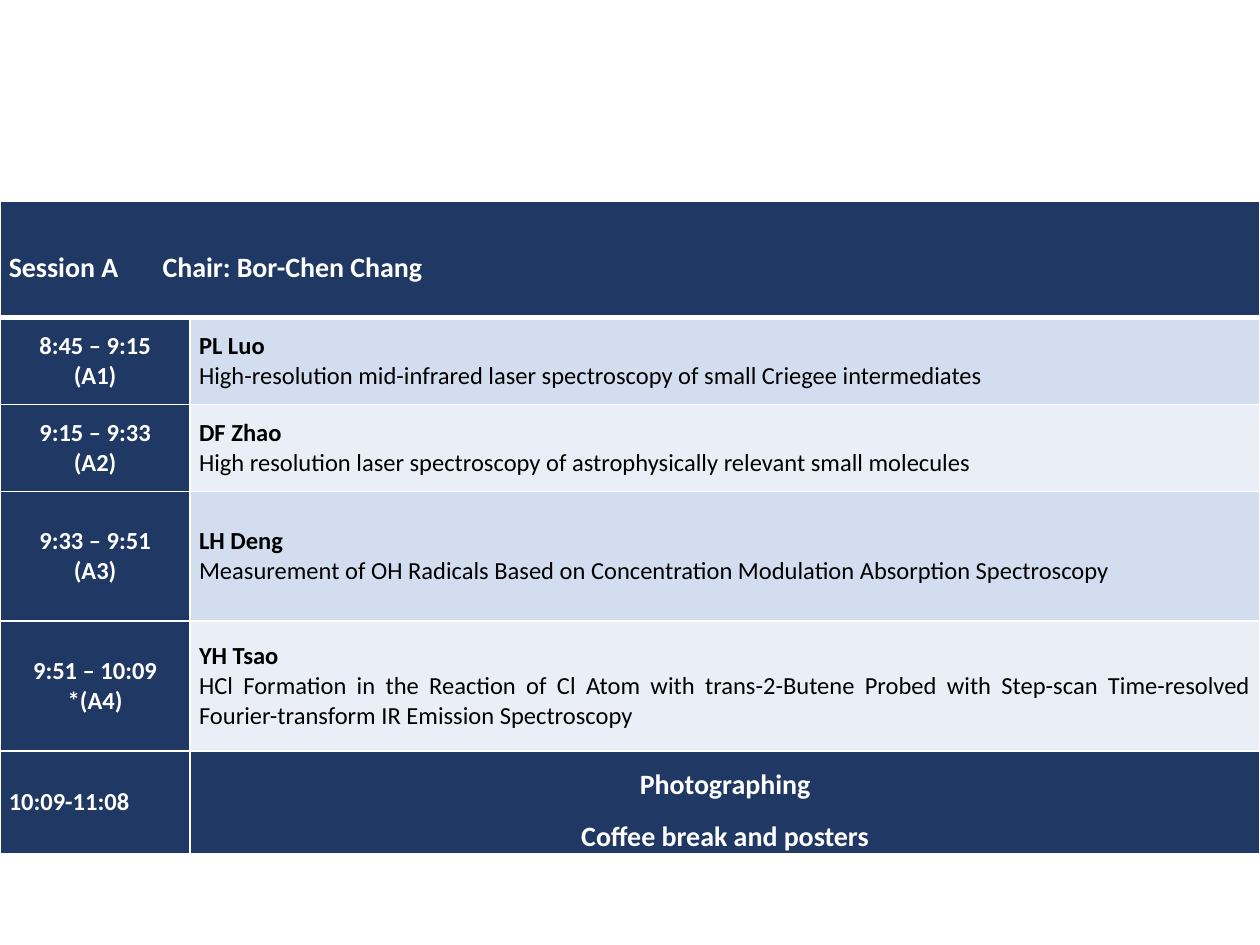
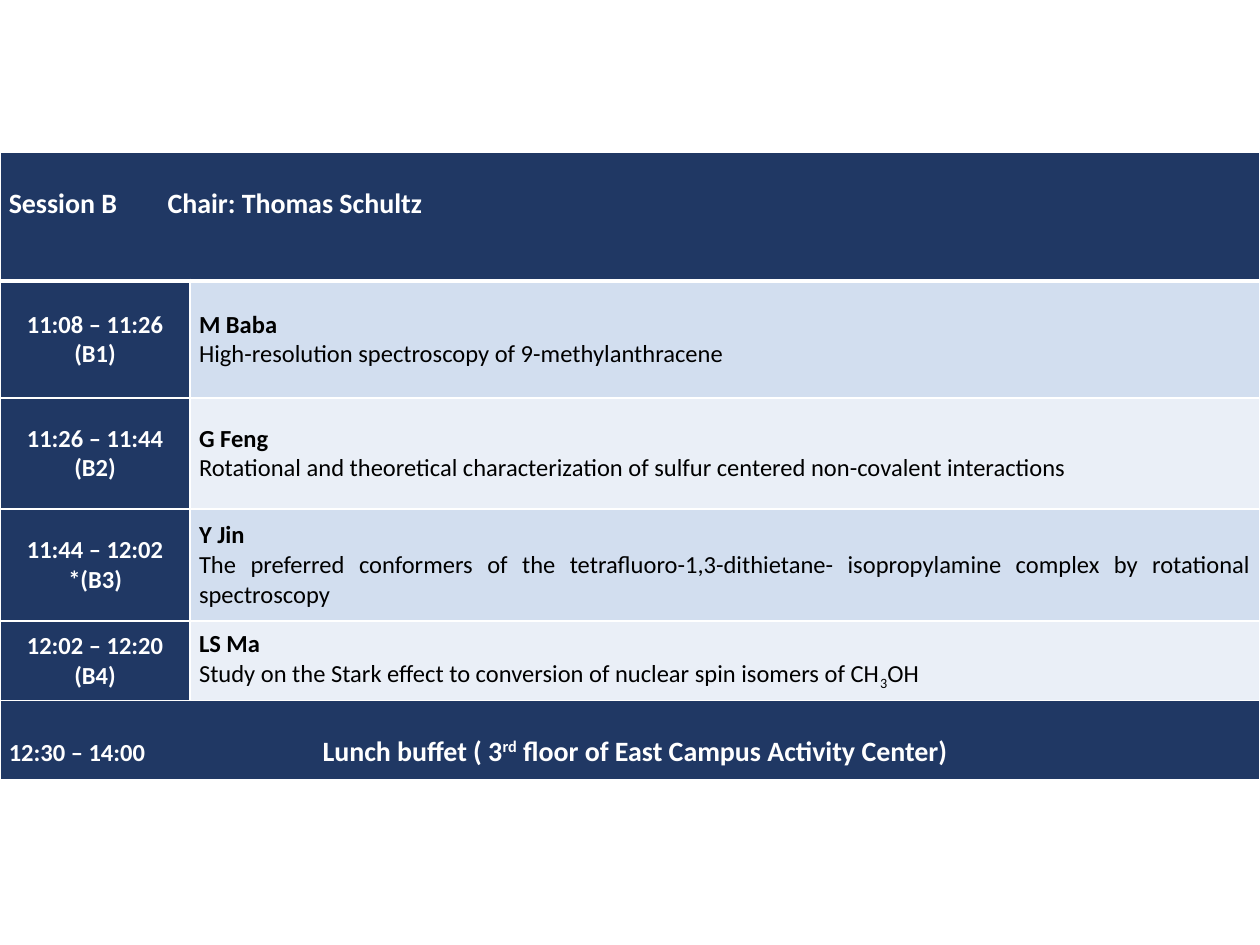
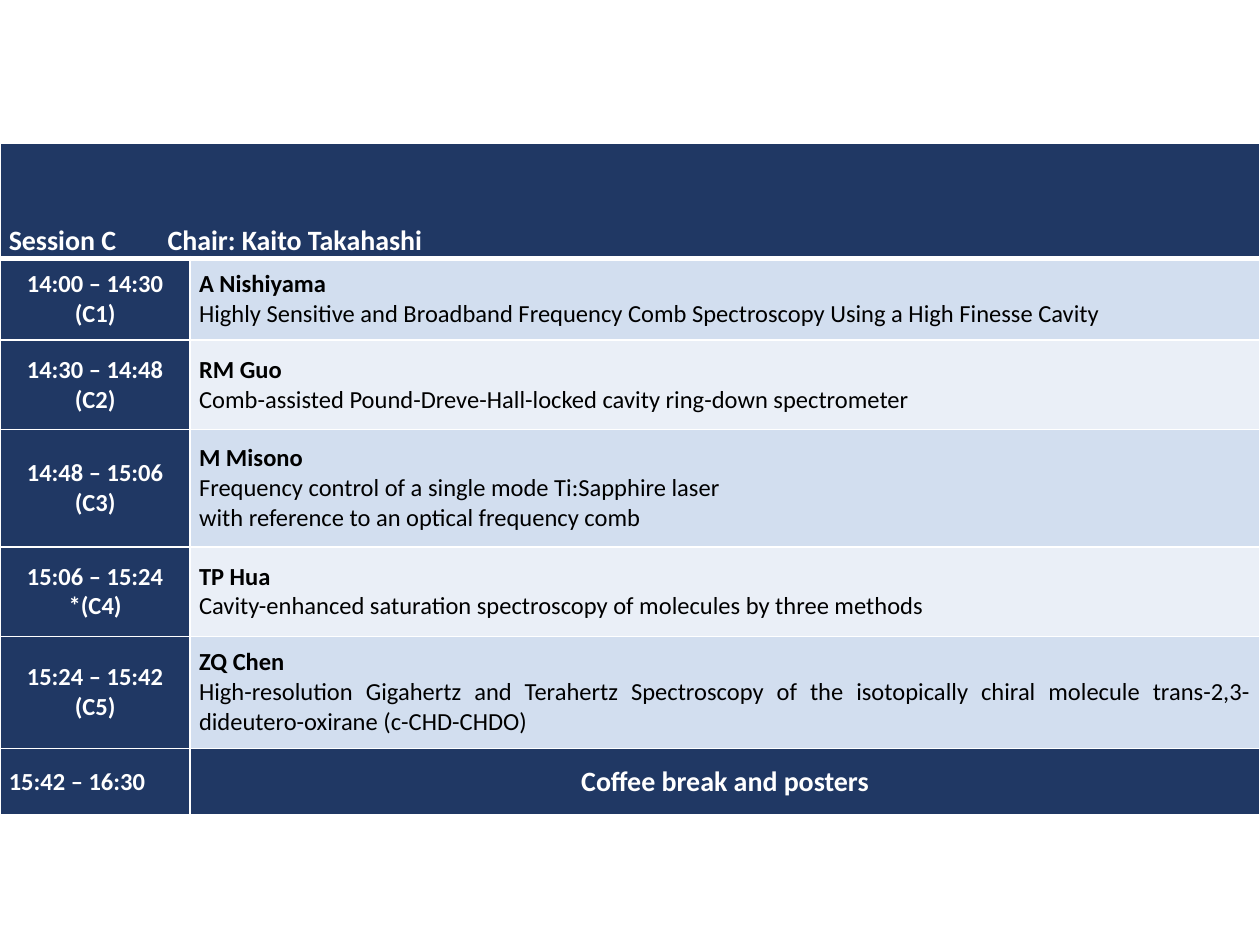
from dataclasses import dataclass

from pptx import Presentation
from pptx.dml.color import RGBColor
from pptx.enum.text import MSO_ANCHOR, PP_ALIGN
from pptx.oxml.ns import qn
from pptx.util import Inches, Pt
from lxml import etree

LEFT, MID, JUST = PP_ALIGN.LEFT, PP_ALIGN.CENTER, PP_ALIGN.JUSTIFY
TOP, CENTRE, BASE = MSO_ANCHOR.TOP, MSO_ANCHOR.MIDDLE, MSO_ANCHOR.BOTTOM

WIDE, HIGH = Inches(10), Inches(7.5)
UNIT = WIDE // 100  # every length on the grid is a count of these
COLS = (15.1, 84.9)


@dataclass(frozen=True)
class Theme:
    font: str = "Calibri"
    navy: str = "203864"
    bands: tuple = ("D2DEEF", "EAEFF7")
    white: str = "FFFFFF"
    black: str = "000000"
    head: int = 16
    body: int = 14
    thin: int = 1
    thick: int = 3


T = Theme()
LIGHT = {"size": T.body, "bold": True, "color": T.white}
LARGE = {**LIGHT, "size": T.head}
NAME = {**LIGHT, "color": T.black}
TOPIC = {**NAME, "bold": False}


def grid(count):
    return round(count * UNIT)


def apply(target, **values):
    for key, value in values.items():
        setattr(target, key, value)


def add_run(para, text, look, shift=0):
    """Add text to a paragraph; shift raises or lowers it, in percent."""
    run = para.add_run()
    run.text = text
    apply(run.font, name=T.font, size=Pt(look["size"]), bold=look["bold"])
    run.font.color.rgb = RGBColor.from_string(look["color"])
    if shift:
        run._r.get_or_add_rPr().set("baseline", str(shift * 1000))


def add_tab(para, place):
    props = para._p.get_or_add_pPr()
    stops = etree.SubElement(props, qn("a:tabLst"))
    etree.SubElement(stops, qn("a:tab"), pos=str(grid(place)), algn="l")


def edge(cell, top, bottom):
    """Draw white borders; top and bottom are widths in points."""
    props = cell._tc.get_or_add_tcPr()
    sides = {"L": T.thin, "R": T.thin, "T": top, "B": bottom}
    for side, width in sides.items():
        line = etree.SubElement(props, qn(f"a:ln{side}"), w=str(Pt(width)))
        fill = etree.SubElement(line, qn("a:solidFill"))
        etree.SubElement(fill, qn("a:srgbClr"), val=T.white)


def put(cell, paras, align, anchor=CENTRE, tab=None, **space):
    """Fill a cell; each paragraph is a list of arguments for add_run."""
    apply(cell, margin_left=grid(0.7), margin_right=grid(0.7),
          margin_top=0, margin_bottom=0, vertical_anchor=anchor)
    frame = cell.text_frame
    for spot, runs in enumerate(paras):
        para = frame.add_paragraph() if spot else frame.paragraphs[0]
        apply(para, alignment=align, **space)
        if tab:
            add_tab(para, tab)
        for run in runs:
            add_run(para, *run)


def paint(table):
    """Give each cell its border and its fill."""
    last = len(table.rows) - 1
    for row in range(last + 1):
        for col in range(len(COLS)):
            cell = table.cell(row, col)
            edge(cell, T.thick if row == 1 else T.thin,
                 T.thick if row == 0 else T.thin)
            band = col == 1 and 0 < row < last
            shade = T.bands[(row - 1) % 2] if band else T.navy
            cell.fill.solid()
            cell.fill.fore_color.rgb = RGBColor.from_string(shade)


def span(table, row):
    cell = table.cell(row, 0)
    cell.merge(table.cell(row, 1))
    return cell


def add_table(deck, top, rows):
    slide = deck.slides.add_slide(deck.slide_layouts[6])
    frame = slide.shapes.add_table(len(rows), len(COLS), 0, grid(top),
                                   WIDE, grid(sum(rows)))
    table = frame.table
    apply(table, first_row=False, horz_banding=False)
    for row, size in zip(table.rows, rows):
        row.height = grid(size)
    for col, size in zip(table.columns, COLS):
        col.width = grid(size)
    paint(table)
    return table


def add_talk(table, row, time, code, name, *topic):
    """Topic lines are strings, or lists of (text, shift) pairs."""
    put(table.cell(row, 0), [[(time, LIGHT)], [(code, LIGHT)]], MID)
    paras = [[(name, NAME)]]
    for line in topic:
        parts = [(line, 0)] if isinstance(line, str) else line
        paras.append([(text, TOPIC, shift) for text, shift in parts])
    put(table.cell(row, 1), paras, JUST)


def add_pause(table, time, lines, **space):
    row = len(table.rows) - 1
    put(table.cell(row, 0), [[(time, LIGHT)]], JUST)
    put(table.cell(row, 1), [[(line, LARGE)] for line in lines], MID, **space)


def add_lunch(table, time, parts):
    runs = [(time + "\t", LIGHT)]
    runs += [(text, LARGE, shift) for text, shift in parts]
    put(span(table, len(table.rows) - 1), [runs], LEFT, TOP, tab=24.9,
        line_spacing=2.0)


def add_session(deck, top, rows, title, chair, tab, talks, **look):
    table = add_table(deck, top, rows)
    put(span(table, 0), [[(f"{title}\tChair: {chair}", LARGE)]], LEFT,
        tab=tab, **look)
    for row, talk in enumerate(talks, 1):
        add_talk(table, row, *talk)
    return table


TALKS_A = [
    ("8:45 – 9:15", "(A1)", "PL Luo",
     "High-resolution mid-infrared laser spectroscopy of small Criegee "
     "intermediates"),
    ("9:15 – 9:33", "(A2)", "DF Zhao",
     "High resolution laser spectroscopy of astrophysically relevant small "
     "molecules"),
    ("9:33 – 9:51", "(A3)", "LH Deng",
     "Measurement of OH Radicals Based on Concentration Modulation "
     "Absorption Spectroscopy"),
    ("9:51 – 10:09", "*(A4)", "YH Tsao",
     "HCl Formation in the Reaction of Cl Atom with trans-2-Butene Probed "
     "with Step-scan Time-resolved Fourier-transform IR Emission "
     "Spectroscopy"),
]
TALKS_B = [
    ("11:08 – 11:26", "(B1)", "M Baba",
     "High-resolution spectroscopy of 9-methylanthracene"),
    ("11:26 – 11:44", "(B2)", "G Feng",
     "Rotational and theoretical characterization of sulfur centered "
     "non-covalent interactions"),
    ("11:44 – 12:02", "*(B3)", "Y Jin",
     "The preferred conformers of the tetrafluoro-1,3-dithietane- "
     "isopropylamine complex by rotational spectroscopy"),
    ("12:02 – 12:20", "(B4)", "LS Ma",
     [("Study on the Stark effect to conversion of nuclear spin isomers "
       "of CH", 0), ("3", -25), ("OH", 0)]),
]
TALKS_C = [
    ("14:00 – 14:30", "(C1)", "A Nishiyama",
     "Highly Sensitive and Broadband Frequency Comb Spectroscopy Using a "
     "High Finesse Cavity"),
    ("14:30 – 14:48", "(C2)", "RM Guo",
     "Comb-assisted Pound-Dreve-Hall-locked cavity ring-down spectrometer"),
    ("14:48 – 15:06", "(C3)", "M Misono",
     "Frequency control of a single mode Ti:Sapphire laser",
     "with reference to an optical frequency comb"),
    ("15:06 – 15:24", "*(C4)", "TP Hua",
     "Cavity-enhanced saturation spectroscopy of molecules by three methods"),
    ("15:24 – 15:42", "(C5)", "ZQ Chen",
     "High-resolution Gigahertz and Terahertz Spectroscopy of the "
     "isotopically chiral molecule trans-2,3-dideutero-oxirane "
     "(c-CHD-CHDO)"),
]


def main():
    deck = Presentation()
    apply(deck, slide_width=WIDE, slide_height=HIGH)

    table = add_session(deck, 16, (9.2, 6.9, 6.9, 10.3, 10.3, 6.8),
                        "Session A", "Bor-Chen Chang", 12.2, TALKS_A,
                        line_spacing=1.5)
    add_pause(table, "10:09-11:08",
              ["Photographing", "Coffee break and posters"],
              line_spacing=1.5)

    table = add_session(deck, 12.1, (10.2, 9.3, 8.8, 8.9, 6.3, 6.3),
                        "Session B", "Thomas Schultz", 12.6, TALKS_B,
                        anchor=TOP, line_spacing=2.0,
                        space_before=Pt(6), space_after=Pt(6))
    add_lunch(table, "12:30 – 14:00",
              [("Lunch buffet ( 3", 0), ("rd", 30),
               (" floor of East Campus Activity Center)", 0)])

    table = add_session(deck, 11.4, (9.1, 6.5, 7.1, 9.3, 7.1, 8.9, 5.3),
                        "Session C", "Kaito Takahashi", 12.6, TALKS_C,
                        anchor=BASE, line_spacing=1.5)
    add_pause(table, "15:42 – 16:30", ["Coffee break and posters"])

    deck.save("out.pptx")


if __name__ == "__main__":
    main()
